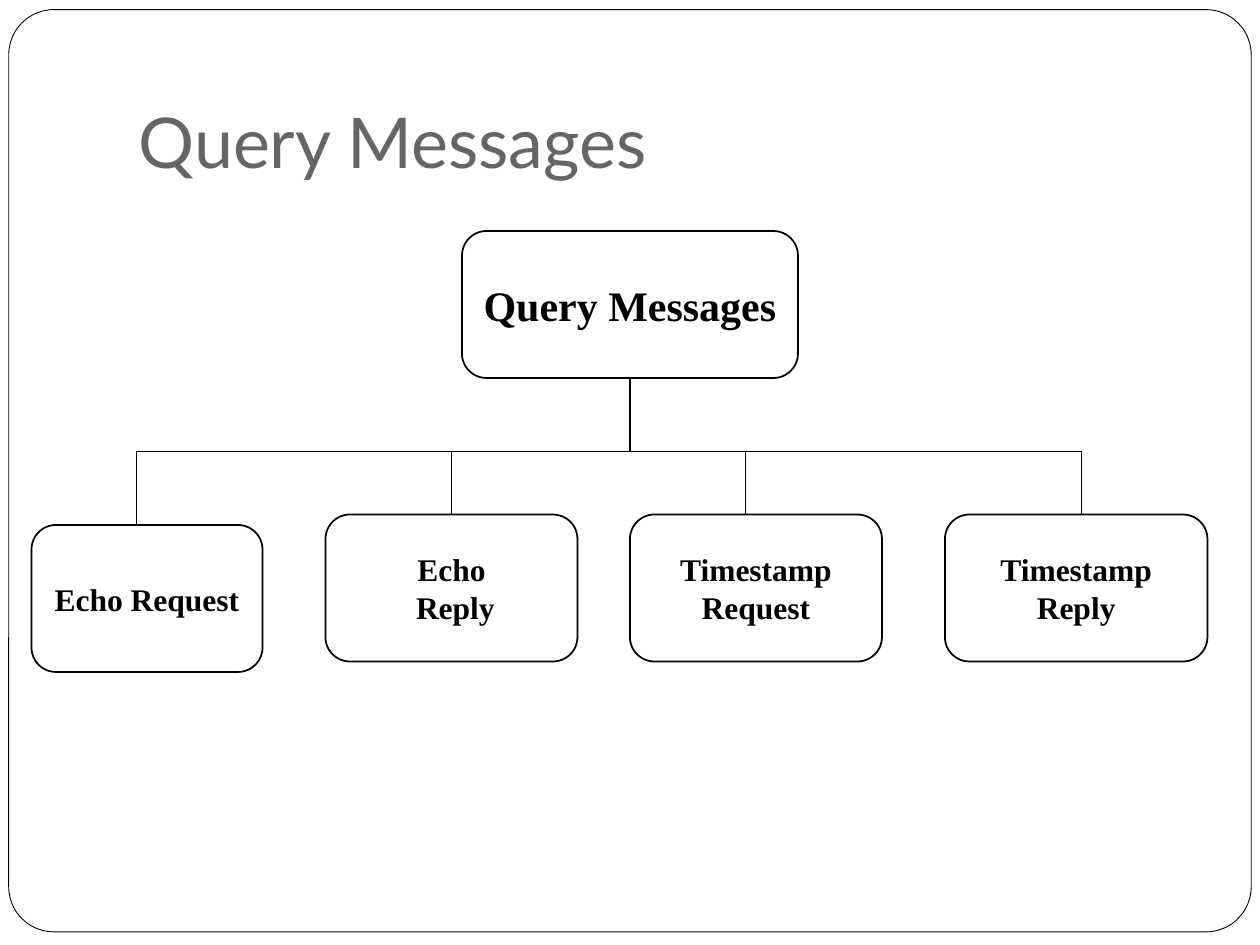
from pptx import Presentation
from pptx.dml.color import RGBColor
from pptx.enum import shapes as kinds, text as txt
from pptx.oxml.ns import qn
from pptx.util import Pt
from lxml import etree

HUES = {"paper": "FFFFFF", "ink": "000000", "title": "696464"}
BAR = 258  # height of the branch line
# left, top, width, drop x, lines of text
LEAVES = [
    (18, 300, 132, 78, ["Echo Request"]),
    (186, 294, 144, 258, ["Echo", " Reply"]),
    (360, 294, 144, 426, ["Timestamp Request"]),
    (540, 294, 150, 618, ["Timestamp Reply"]),
]


def hue(name):
    return RGBColor.from_string(HUES[name])


def add_run(para, words, font, size, color, bold=False):
    run = para.add_run()
    run.text = words
    run.font.name = font
    run.font.size = Pt(size)
    run.font.bold = bold
    run.font.color.rgb = hue(color)


def add_box(slide, box, width):
    """Add a white rounded rectangle with a black outline."""
    shape = slide.shapes.add_shape(
        kinds.MSO_SHAPE.ROUNDED_RECTANGLE, *map(Pt, box))
    shape.shadow.inherit = False
    shape.fill.solid()
    shape.fill.fore_color.rgb = hue("paper")
    shape.line.color.rgb = hue("ink")
    shape.line.width = Pt(width)
    return shape


def add_node(slide, box, lines, size):
    node = add_box(slide, box, 1)
    frame = node.text_frame
    frame.word_wrap = True
    frame.vertical_anchor = txt.MSO_ANCHOR.MIDDLE
    for i, words in enumerate(lines):
        para = frame.add_paragraph() if i else frame.paragraphs[0]
        para.alignment = txt.PP_ALIGN.CENTER
        add_run(para, words, "Times New Roman", size, "ink", True)
    return node


def add_line(slide, x1, y1, x2, y2):
    line = slide.shapes.add_connector(
        kinds.MSO_CONNECTOR.STRAIGHT, Pt(x1), Pt(y1), Pt(x2), Pt(y2))
    line.line.color.rgb = hue("ink")
    line.line.width = Pt(0.75)
    etree.SubElement(line.element.spPr, qn("a:effectLst"))
    return line


def add_title(slide, box, words):
    title = slide.shapes.title
    title.left, title.top, title.width, title.height = map(Pt, box)
    frame = title.text_frame
    frame.word_wrap = True
    frame.auto_size = txt.MSO_AUTO_SIZE.NONE
    frame.vertical_anchor = txt.MSO_ANCHOR.BOTTOM
    frame.margin_left = frame.margin_right = frame.margin_bottom = Pt(7.2)
    frame.margin_top = Pt(3.6)
    para = frame.paragraphs[0]
    para.alignment = txt.PP_ALIGN.LEFT
    add_run(para, words, "Lato", 40, "title")


def add_border(slide, box):
    """Add the page border behind the title."""
    border = add_box(slide, box, 0.5)
    border.adjustments[0] = 0.049
    slide.shapes.title.element.addprevious(border.element)


def add_tree(slide, box):
    """Add the root, its leaves and the lines that join them."""
    left, top, width, height = box
    root = add_node(slide, box, ["Query Messages"], 24)
    mid = left + width / 2
    stem = add_line(slide, mid, top + height, mid, BAR)
    stem.begin_connect(root, 2)
    add_line(slide, LEAVES[0][3], BAR, LEAVES[-1][3], BAR)
    for x, y, wide, drop, lines in LEAVES:
        leaf = add_node(slide, (x, y, wide, height), lines, 18)
        line = add_line(slide, drop, BAR, drop, y)
        if drop == x + wide / 2:
            line.end_connect(leaf, 0)


def main():
    deck = Presentation()
    deck.slide_width, deck.slide_height = Pt(720), Pt(540)
    slide = deck.slides.add_slide(deck.slide_layouts[5])
    add_border(slide, (5, 5.5, 710, 527))
    add_title(slide, (72, 21.6, 612, 90), "Query Messages")
    add_tree(slide, (264, 132, 192, 84))
    deck.save("out.pptx")


if __name__ == "__main__":
    main()
